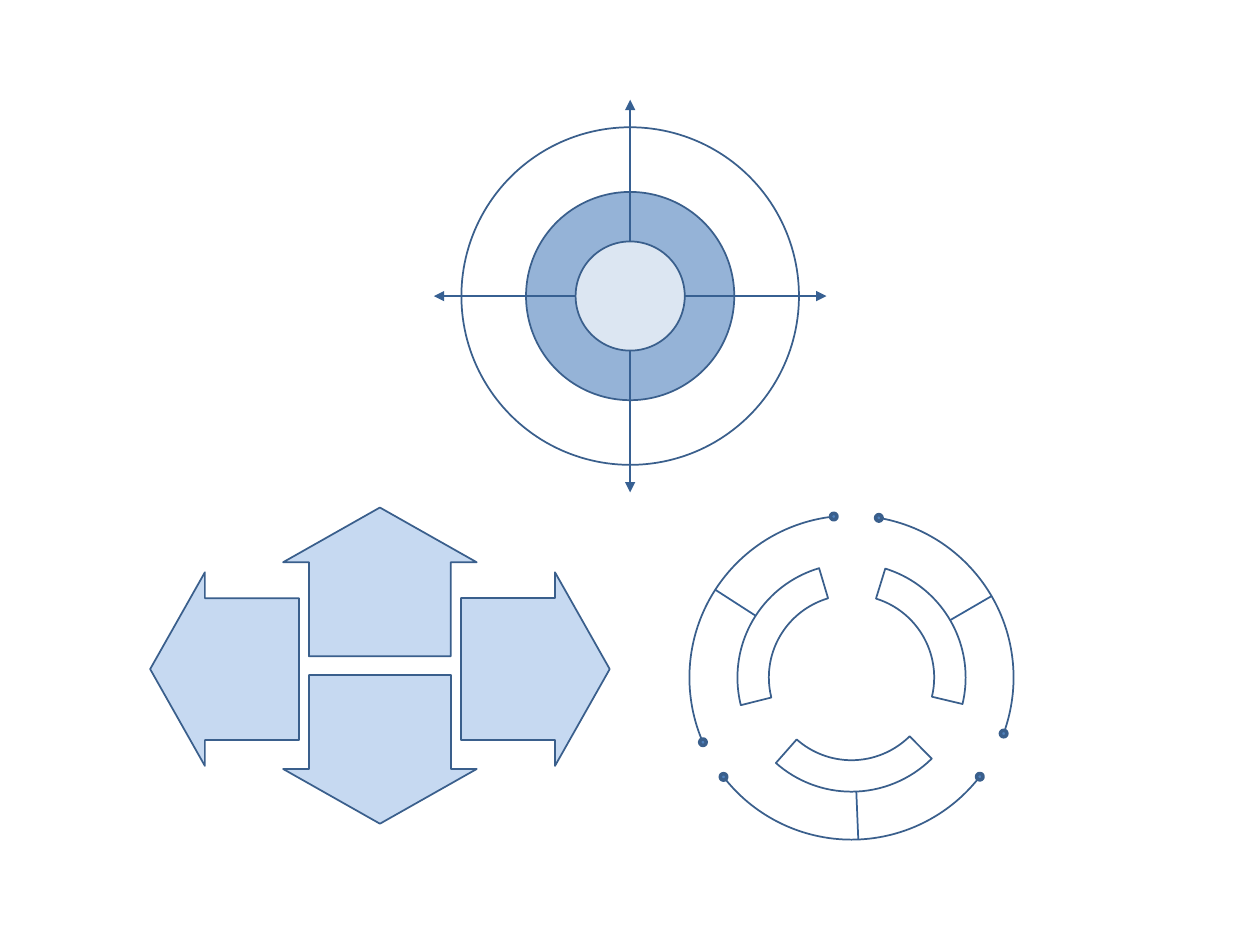
from dataclasses import dataclass
from math import cos, radians, sin, tan

from lxml.etree import SubElement
from pptx import Presentation
from pptx.dml.color import RGBColor
from pptx.enum.shapes import MSO_CONNECTOR, MSO_SHAPE
from pptx.oxml.ns import qn
from pptx.util import Pt


@dataclass(frozen=True)
class Theme:
    outline: str = "3A5F8C"
    axis: str = "376092"
    arrow: str = "C6D9F1"
    ring: str = "95B3D7"
    core: str = "DCE6F2"
    dot: str = "4F81BD"
    thin: float = 1
    thick: float = 2


THEME = Theme()


@dataclass(frozen=True)
class Box:
    left: float
    top: float
    width: float
    height: float

    @property
    def center(self):
        return self.left + self.width / 2, self.top + self.height / 2


def style(shape, fill=None, weight=THEME.thin):
    shape.shadow.inherit = False
    if fill:
        shape.fill.solid()
        shape.fill.fore_color.rgb = RGBColor.from_string(fill)
    else:
        shape.fill.background()
    shape.line.color.rgb = RGBColor.from_string(THEME.outline)
    shape.line.width = Pt(weight)


def add_centered(shapes, kind, center, width, height, fill=None, weight=THEME.thin):
    x, y = center
    shape = shapes.add_shape(kind, Pt(x - width / 2), Pt(y - height / 2),
                             Pt(width), Pt(height))
    style(shape, fill, weight)
    return shape


def add_line(shapes, start, end, arrowheads=False):
    line = shapes.add_connector(MSO_CONNECTOR.STRAIGHT,
                                *(Pt(value) for value in (*start, *end)))
    line.line.color.rgb = RGBColor.from_string(THEME.axis)
    line.line.width = Pt(THEME.thin)
    if arrowheads:
        for tag in ("a:headEnd", "a:tailEnd"):
            SubElement(line.line._get_or_add_ln(), qn(tag), type="triangle")
    SubElement(line._element.spPr, qn("a:effectLst"))


def polar(center, radius, angle):
    """Point at an angle in degrees, clockwise from the right."""
    return (center[0] + radius * cos(radians(angle)),
            center[1] + radius * sin(radians(angle)))


def arc_steps(center, radius, start, end):
    """Arc start, then (control, control, point) for each quadrant it meets."""
    low, high = sorted((start, end))
    stops = [low, *(a for a in range(-90, 361, 90) if low < a < high), high]
    if start > end:
        stops.reverse()
    curves = []
    for first, last in zip(stops, stops[1:]):
        handle = 4 / 3 * tan(radians(last - first) / 4)
        x1, y1 = polar(center, radius, first)
        x2, y2 = polar(center, radius, last)
        curves.append(((x1 - handle * (y1 - center[1]), y1 + handle * (x1 - center[0])),
                       (x2 + handle * (y2 - center[1]), y2 - handle * (x2 - center[0])),
                       (x2, y2)))
    return polar(center, radius, start), curves


def add_outline(shapes, start, steps, close=False):
    """Freeform of steps: one point for a line, three for a curve."""
    builder = shapes.build_freeform(Pt(start[0]), Pt(start[1]))
    builder.add_line_segments([(Pt(step[-1][0]), Pt(step[-1][1])) for step in steps],
                              close=close)
    shape = builder.convert_to_shape()
    style(shape)
    segments = list(shape._element.iter(qn("a:lnTo")))
    for segment, (*controls, _) in zip(segments, steps):
        if not controls:
            continue
        curve = segment.makeelement(qn("a:cubicBezTo"))
        for x, y in controls:
            SubElement(curve, qn("a:pt"), x=str(Pt(x) - shape.left),
                       y=str(Pt(y) - shape.top))
        curve.append(segment[0])
        segment.getparent().replace(segment, curve)


def draw_arrow_cross(page, box):
    """Four block arrows pointing away from the middle of the box."""
    width, height, side_drop = 110.6, 85, 2
    reach_x, reach_y = (box.width - height) / 2, (box.height - height) / 2
    x, y = box.center
    for dx, dy, rotation in ((0, -reach_y, 0), (0, reach_y, 180),
                             (reach_x, side_drop, 90), (-reach_x, side_drop, 270)):
        arrow = add_centered(page.shapes, MSO_SHAPE.UP_ARROW, (x + dx, y + dy),
                             width, height, THEME.arrow)
        arrow.adjustments[0] = 0.733
        arrow.adjustments[1] = 0.368
        arrow.rotation = rotation


def draw_split_dial(page, box):
    """Three outer arcs with end dots, each tied to an inner band."""
    shapes = page.shapes.add_group_shape().shapes
    center, radius = box.center, box.width / 2
    band_outer, band_inner = radius * 0.704, radius * 0.51
    for start, end in ((-81.5, 20.5), (157, 262.5), (38.4, 141)):
        add_outline(shapes, *arc_steps(center, radius, start, end))
    for start, end in ((-72.8, 13.4), (166, 253.5), (45.3, 131.5)):
        corner, outer = arc_steps(center, band_outer, start, end)
        inner_corner, inner = arc_steps(center, band_inner, end, start)
        add_outline(shapes, corner, [*outer, (inner_corner,), *inner], close=True)
    for angle in (212.8, -30.2, 87.6):
        add_line(shapes, polar(center, band_outer, angle), polar(center, radius, angle))
    for angle in (-80.3, 20.2, 37.7, 142.2, 156.5, 263.7):
        add_centered(page.shapes, MSO_SHAPE.OVAL, polar(center, radius, angle),
                     3.7, 3.7, THEME.dot, THEME.thick)


def draw_target(page, box):
    """Concentric circles crossed by two double-headed axes."""
    shapes = page.shapes.add_group_shape().shapes
    x, y = box.center
    for diameter, fill in ((192.9, None), (119, THEME.ring)):
        add_centered(shapes, MSO_SHAPE.OVAL, box.center, diameter, diameter, fill)
    add_line(shapes, (box.left, y), (box.left + box.width, y), arrowheads=True)
    add_line(shapes, (x, box.top), (x, box.top + box.height), arrowheads=True)
    add_centered(shapes, MSO_SHAPE.OVAL, box.center, 62.4, 62.4, THEME.core)


def main():
    deck = Presentation()
    deck.slide_width, deck.slide_height = Pt(720), Pt(540)
    page = deck.slides.add_slide(deck.slide_layouts[6])
    draw_arrow_cross(page, Box(85.8, 290, 262.6, 180.7))
    draw_split_dial(page, Box(394, 294.6, 185.2, 185.2))
    draw_target(page, Box(247.9, 57, 224.4, 224.4))
    deck.save("out.pptx")


if __name__ == "__main__":
    main()
